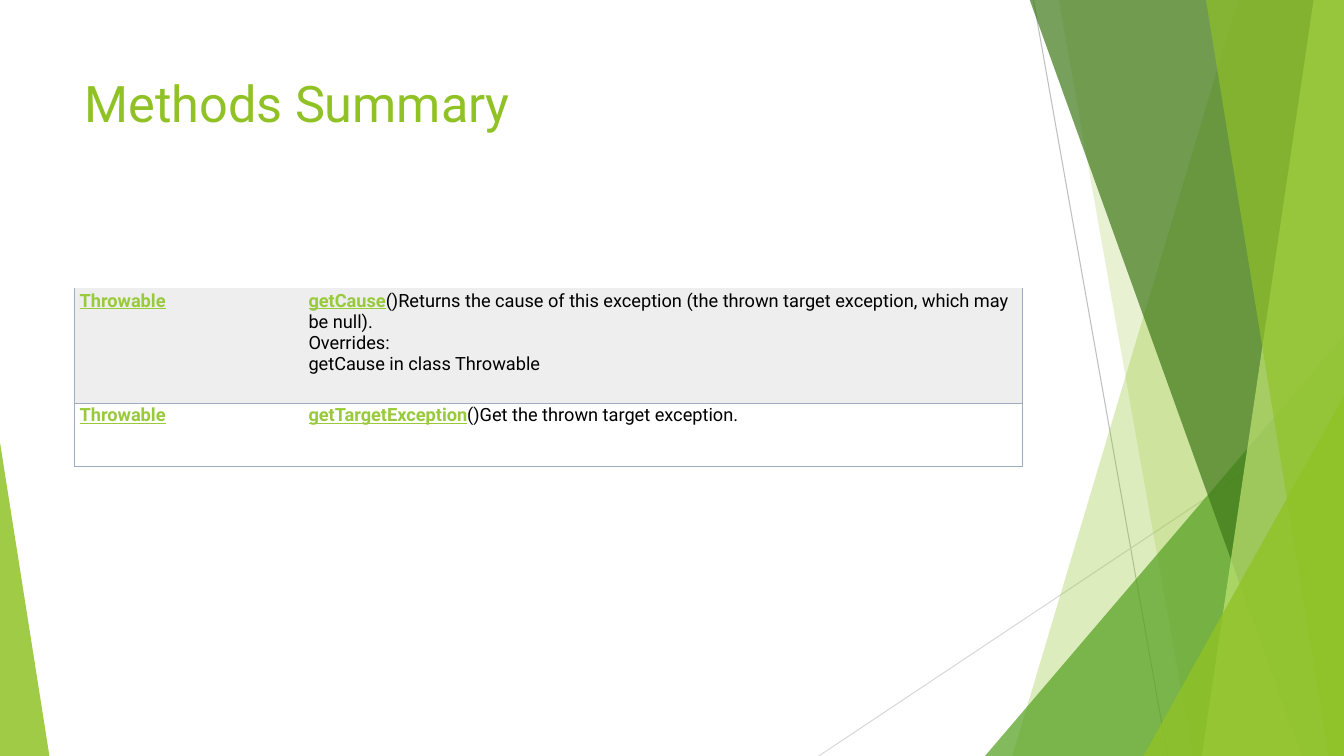
from lxml.etree import SubElement
from pptx import Presentation
from pptx.dml.color import RGBColor
from pptx.enum.shapes import MSO_CONNECTOR as Connector, MSO_SHAPE as Preset
from pptx.oxml import parse_xml
from pptx.oxml.ns import nsdecls, qn
from pptx.util import Inches, Pt

LIME = RGBColor(0x90, 0xC2, 0x26)
PALE_LIME = RGBColor(0xC0, 0xE4, 0x74)
GREEN = RGBColor(0x54, 0xA0, 0x21)
FOREST = RGBColor(0x3F, 0x78, 0x19)
LINK = RGBColor(0x99, 0xCA, 0x3C)
BLACK = RGBColor(0, 0, 0)
WHITE = RGBColor(0xFF, 0xFF, 0xFF)
GREY = RGBColor(0xEE, 0xEE, 0xEF)
BORDER = RGBColor(0x9E, 0xAD, 0xC0)
RAY = RGBColor(0xBF, 0xBF, 0xBF)
PALE_RAY = RGBColor(0xD9, 0xD9, 0xD9)
WIDTH, HEIGHT, TOP = 13.33, 7.5, -0.01

deck = Presentation()
deck.slide_width, deck.slide_height = Inches(WIDTH), Inches(HEIGHT)
slide = deck.slides.add_slide(deck.slide_layouts[6])
shapes = slide.shapes


def add_run(paragraph, text, color, style):
    run = paragraph.add_run()
    run.text = text
    run.font.color.rgb = color
    for name, value in style.items():
        setattr(run.font, name, value)


def paint(facet, color, opacity):
    facet.shadow.inherit = False
    facet.line.fill.background()
    facet.fill.solid()
    facet.fill.fore_color.rgb = color
    tint = facet.fill._xPr.find(qn("a:solidFill"))[0]
    SubElement(tint, qn("a:alpha"), val=str(opacity * 1000))


rays = [((10.25, 0), (11.58, HEIGHT), RAY), ((WIDTH, 4.03), (8.12, HEIGHT), PALE_RAY)]
for start, end, color in rays:
    ray = shapes.add_connector(Connector.STRAIGHT, *map(Inches, start + end))
    ray.line.color.rgb = color
    ray.line.width = Pt(0.75)
    SubElement(ray._element.spPr, qn("a:effectLst"))

facets = [
    ("band", (12.28, 10.04), LIME, 30),
    ("band", (10.5, 11.83), LIME, 20),
    ("triangle", (9.77, 3.33, 3.56, 1), GREEN, 72),
    ("band", (10.21, 12.91), FOREST, 70),
    ("band", (13.03, 11.92), PALE_LIME, 70),
    ("band", (11.96, 13.18), LIME, 65),
    ("triangle", (11.34, 3.93, 1.99, 1), LIME, 80),
    ("triangle", (0, 4.39, 0.49, 0), LIME, 85),
]
for kind, geometry, color, opacity in facets:
    if kind == "band":
        top_x, bottom_x = geometry
        outline = shapes.build_freeform(Inches(top_x), Inches(TOP))
        corners = [(WIDTH, TOP), (WIDTH, HEIGHT), (bottom_x, HEIGHT)]
        outline.add_line_segments([(Inches(x), Inches(y)) for x, y in corners])
        facet = outline.convert_to_shape()
    else:
        left, top, width, apex = geometry
        facet = shapes.add_shape(
            Preset.ISOSCELES_TRIANGLE, *map(Inches, (left, top, width, HEIGHT - top)))
        facet.adjustments[0] = apex
    paint(facet, color, opacity)

title = shapes.add_textbox(*map(Inches, (0.74, 0.67, 9.4, 1.44))).text_frame
title.word_wrap = True
add_run(title.paragraphs[0], "Methods Summary", LIME, {"name": "Roboto", "size": Pt(36)})

body_style = {"name": "Roboto", "size": Pt(13)}
link_style = {**body_style, "bold": True, "underline": True}
margins = {"margin_left": Inches(0.05), "margin_right": Inches(0.02),
           "margin_top": Inches(0.02), "margin_bottom": Inches(0.02)}
methods = [
    ("Throwable", "getCause",
     ["()Returns the cause of this exception (the thrown target exception, which may be\u00a0null).",
      "Overrides:", "getCause in class Throwable"], GREY, 1.14),
    ("Throwable", "getTargetException", ["()Get the thrown target exception."], WHITE, 0.63),
]
summary = shapes.add_table(
    len(methods), 2, *map(Inches, (0.74, 2.86, 9.4, 1.77))).table
for name in ("first_row", "horz_banding"):
    setattr(summary, name, False)
for column, width in zip(summary.columns, (2.27, 7.13)):
    column.width = Inches(width)

for row, (returns, method, details, shade, height) in enumerate(methods):
    summary.rows[row].height = Inches(height)
    for col, link in enumerate((returns, method)):
        cell = summary.cell(row, col)
        for name, value in margins.items():
            setattr(cell, name, value)
        cell.fill.solid()
        cell.fill.fore_color.rgb = shade
        add_run(cell.text_frame.paragraphs[0], link, LINK, link_style)
        if col == 1:
            add_run(cell.text_frame.paragraphs[0], details[0], BLACK, body_style)
            for detail in details[1:]:
                add_run(cell.text_frame.add_paragraph(), detail, BLACK, body_style)
        edges = {"L": col == 0, "R": col == 1, "T": row > 0, "B": True}
        for place, (side, ruled) in enumerate(edges.items()):
            ink = f'<a:solidFill><a:srgbClr val="{BORDER}"/></a:solidFill>' if ruled else "<a:noFill/>"
            edge = parse_xml(f'<a:ln{side} {nsdecls("a")} w="{Pt(0.75)}">{ink}</a:ln{side}>')
            cell._tc.get_or_add_tcPr().insert(place, edge)

deck.save("out.pptx")
